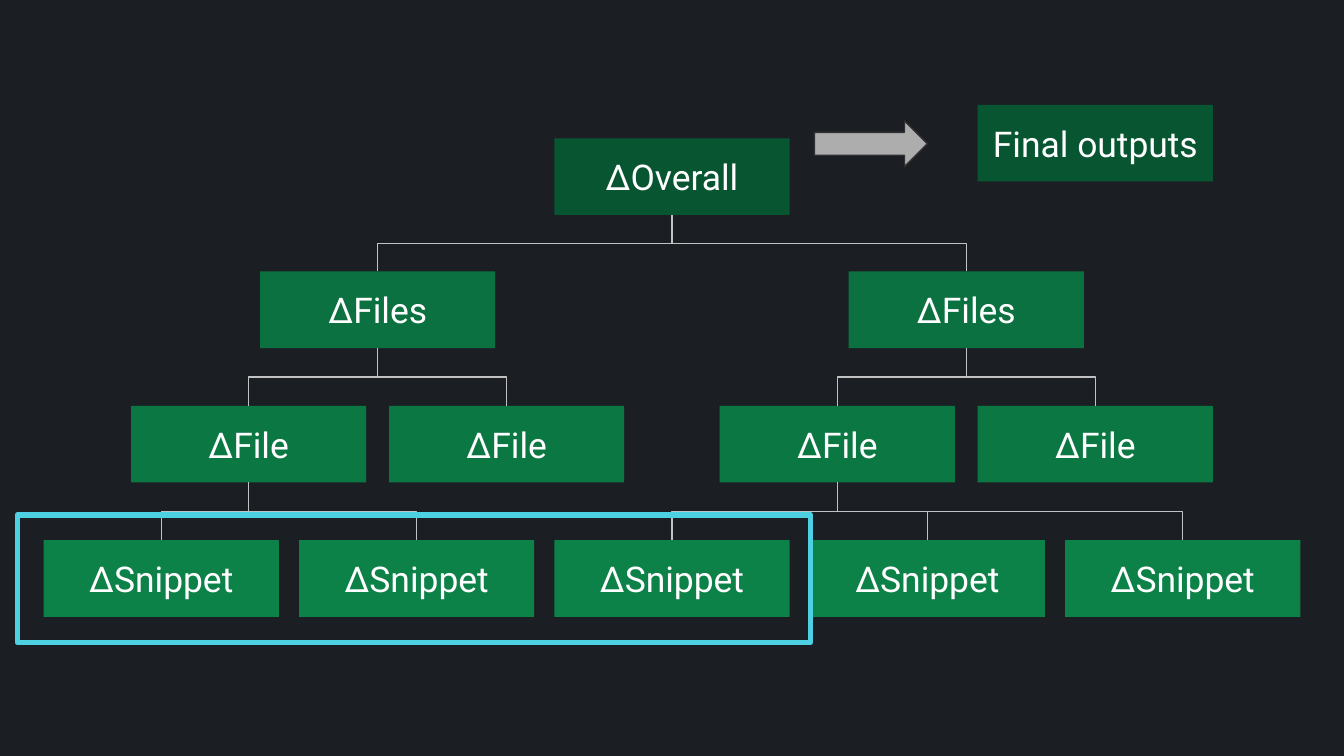
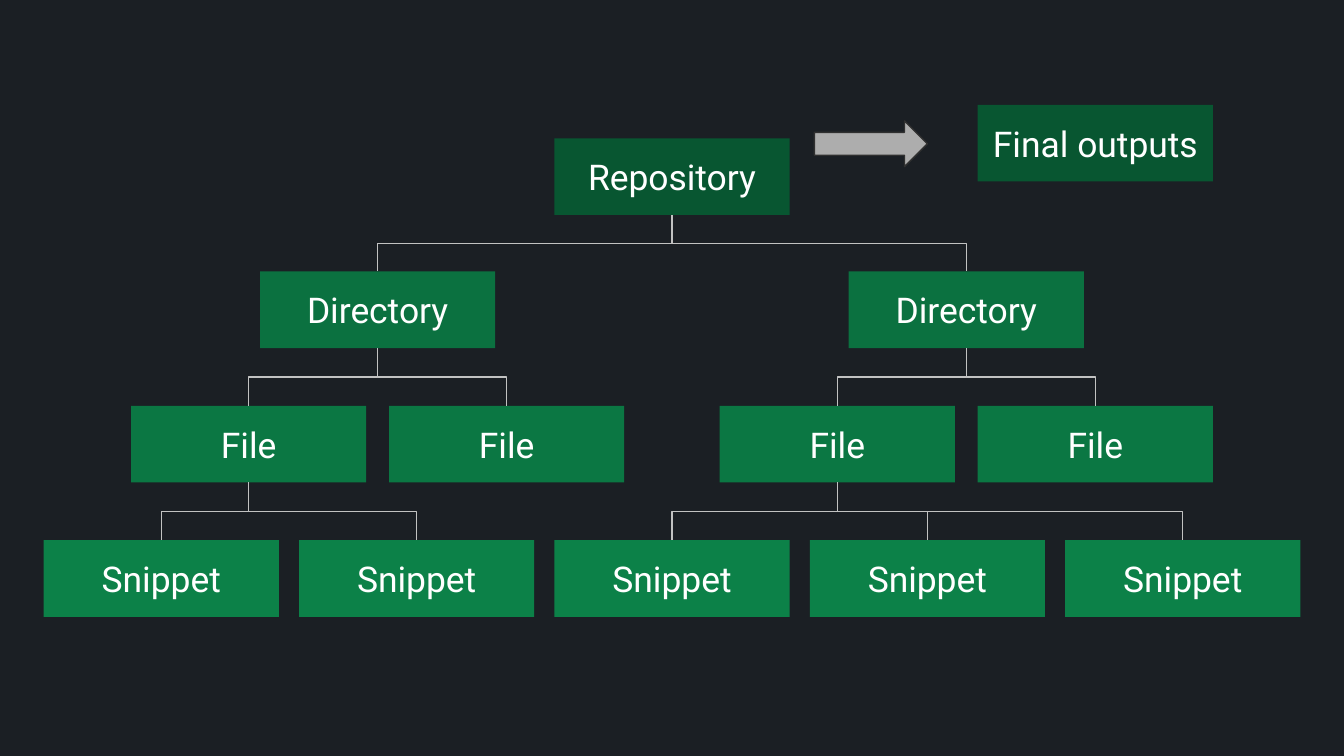
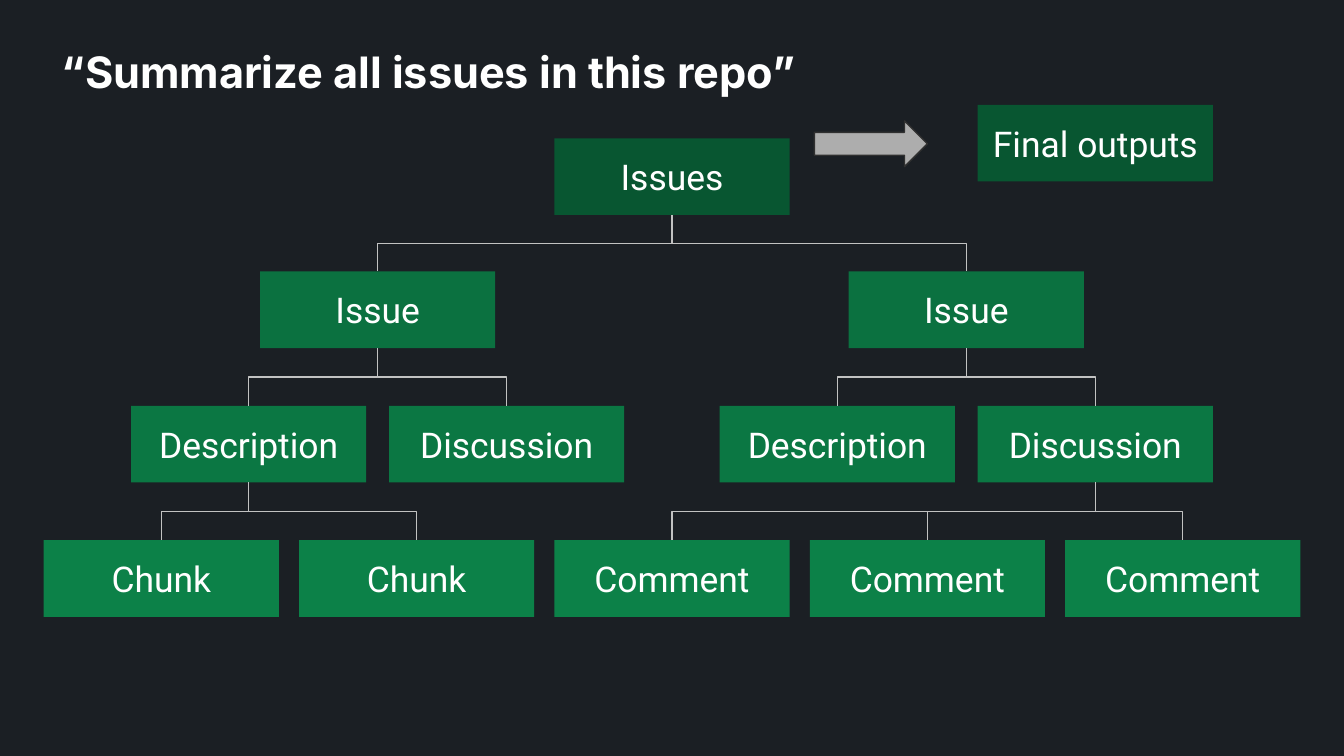
from pptx import Presentation
from pptx.dml.color import RGBColor
from pptx.enum.shapes import MSO_CONNECTOR, MSO_SHAPE
from pptx.enum.text import MSO_ANCHOR, MSO_AUTO_SIZE, PP_ALIGN
from pptx.oxml.ns import qn
from pptx.util import Inches, Pt
from lxml.etree import SubElement

BACKGROUND = RGBColor(0x1B, 0x1F, 0x24)
WHITE = RGBColor(0xFF, 0xFF, 0xFF)
LINK_GREY = RGBColor(0xC2, 0xC2, 0xC2)
ARROW_GREY = RGBColor(0xAD, 0xAD, 0xAD)
ARROW_EDGE = RGBColor(0x30, 0x30, 0x30)
HIGHLIGHT_CYAN = RGBColor(0x4D, 0xD0, 0xE1)
LEVEL_GREENS = [
    RGBColor(0x08, 0x56, 0x31),
    RGBColor(0x0B, 0x71, 0x40),
    RGBColor(0x0B, 0x77, 0x43),
    RGBColor(0x0C, 0x81, 0x48),
]

SLIDE_W = Inches(10)
SLIDE_H = SLIDE_W * 9 // 16
NODE_W, NODE_H = 1.75, 0.57
LEVEL_TOPS = [1.03, 2.02, 3.02, 4.02]
MIDDLE = 5
BRANCH_CENTERS = [MIDDLE - 2.19, MIDDLE + 2.19]
LEVEL_CENTERS = [
    [MIDDLE],
    BRANCH_CENTERS,
    [c + offset for c in BRANCH_CENTERS for offset in (-0.96, 0.96)],
    [MIDDLE + 1.9 * i for i in range(-2, 3)],
]
BOTTOM_SITE, TOP_SITE = 2, 0

NODE_FONT = {"name": "Roboto", "size": Pt(19), "bold": False}
TITLE_FONT = {"name": "Inter", "size": Pt(23.2), "bold": True}
FRAME_FORMAT = {
    "word_wrap": True,
    "auto_size": MSO_AUTO_SIZE.NONE,
    "margin_left": Inches(0.1),
    "margin_right": Inches(0.1),
    "margin_top": Inches(0.1),
    "margin_bottom": Inches(0.1),
}

TREES = [
    {
        "levels": [["ΔOverall"], ["ΔFiles"] * 2, ["ΔFile"] * 4, ["ΔSnippet"] * 5],
        "leaf_parents": [0, 0, 2, 2, 2],
        "highlight": True,
    },
    {
        "levels": [["Repository"], ["Directory"] * 2, ["File"] * 4, ["Snippet"] * 5],
        "leaf_parents": [0, 0, 2, 2, 2],
    },
    {
        "title": "“Summarize all issues in this repo”",
        "levels": [
            ["Issues"],
            ["Issue"] * 2,
            ["Description", "Discussion"] * 2,
            ["Chunk"] * 2 + ["Comment"] * 3,
        ],
        "leaf_parents": [0, 0, 3, 3, 3],
    },
]


def apply_format(target, values):
    for name, value in values.items():
        setattr(target, name, value)


def write_text(s, text, font, anchor, align):
    tf = s.text_frame
    apply_format(tf, {**FRAME_FORMAT, "vertical_anchor": anchor})
    p = tf.paragraphs[0]
    p.alignment = align
    r = p.add_run()
    r.text = text
    apply_format(r.font, font)
    r.font.color.rgb = WHITE


def add_preset(slide, kind, box, fill=None, line=None, width=0.75):
    s = slide.shapes.add_shape(kind, *map(Inches, box))
    s.shadow.inherit = False
    if fill is None:
        s.fill.background()
    else:
        s.fill.solid()
        s.fill.fore_color.rgb = fill
    if line is None:
        s.line.fill.background()
    else:
        s.line.color.rgb = line
        s.line.width = Pt(width)
    return s


def add_node(slide, text, center, top, fill):
    box = (center - NODE_W / 2, top, NODE_W, NODE_H)
    s = add_preset(slide, MSO_SHAPE.RECTANGLE, box, fill)
    write_text(s, text, NODE_FONT, MSO_ANCHOR.MIDDLE, PP_ALIGN.CENTER)
    return s


def add_link(slide, parent, child):
    s = slide.shapes.add_connector(MSO_CONNECTOR.ELBOW, 0, 0, 0, 0)
    s.begin_connect(parent, BOTTOM_SITE)
    s.end_connect(child, TOP_SITE)
    to_right = child.left > parent.left
    shift = (s.width - s.height) // 2
    turned = {
        "left": s.left + shift,
        "top": s.top - shift,
        "width": s.height,
        "height": s.width,
        "rotation": 270 if to_right else 90,
    }
    apply_format(s, turned)
    spPr = s._element.spPr
    spPr.find(qn("a:xfrm")).flipH = to_right
    s.line.color.rgb = LINK_GREY
    s.line.width = Pt(0.75)
    SubElement(spPr, qn("a:effectLst"))


def add_tree(slide, levels, leaf_parents):
    parent_rows = [[0, 0], [0, 0, 1, 1], leaf_parents]
    rows = [
        [add_node(slide, text, center, top, fill) for text, center in zip(texts, centers)]
        for texts, centers, top, fill in zip(levels, LEVEL_CENTERS, LEVEL_TOPS, LEVEL_GREENS)
    ]
    for upper, lower, parents in zip(rows, rows[1:], parent_rows):
        for child, parent in zip(lower, parents):
            add_link(slide, upper[parent], child)


def add_output(slide):
    add_preset(slide, MSO_SHAPE.RIGHT_ARROW, (6.06, 0.9, 0.84, 0.34), ARROW_GREY, ARROW_EDGE)
    add_node(slide, "Final outputs", LEVEL_CENTERS[2][-1], 0.78, LEVEL_GREENS[0])


def add_title(slide, text):
    s = slide.shapes.title
    s.left, s.top, s.width, s.height = map(Inches, (0.36, 0.24, 8.67, 0.63))
    write_text(s, text, TITLE_FONT, MSO_ANCHOR.TOP, PP_ALIGN.LEFT)


def add_tree_slide(prs, tree):
    title = tree.get("title")
    slide = prs.slides.add_slide(prs.slide_layouts.get_by_name("Title Only" if title else "Blank"))
    if title:
        add_title(slide, title)
    add_tree(slide, tree["levels"], tree["leaf_parents"])
    if tree.get("highlight"):
        add_preset(slide, MSO_SHAPE.RECTANGLE, (0.13, 3.83, 5.9, 0.95), line=HIGHLIGHT_CYAN, width=3)
    add_output(slide)


def main():
    prs = Presentation()
    prs.slide_width, prs.slide_height = SLIDE_W, SLIDE_H
    fill = prs.slide_master.background.fill
    fill.solid()
    fill.fore_color.rgb = BACKGROUND
    for tree in TREES:
        add_tree_slide(prs, tree)
    prs.save("out.pptx")


if __name__ == "__main__":
    main()
